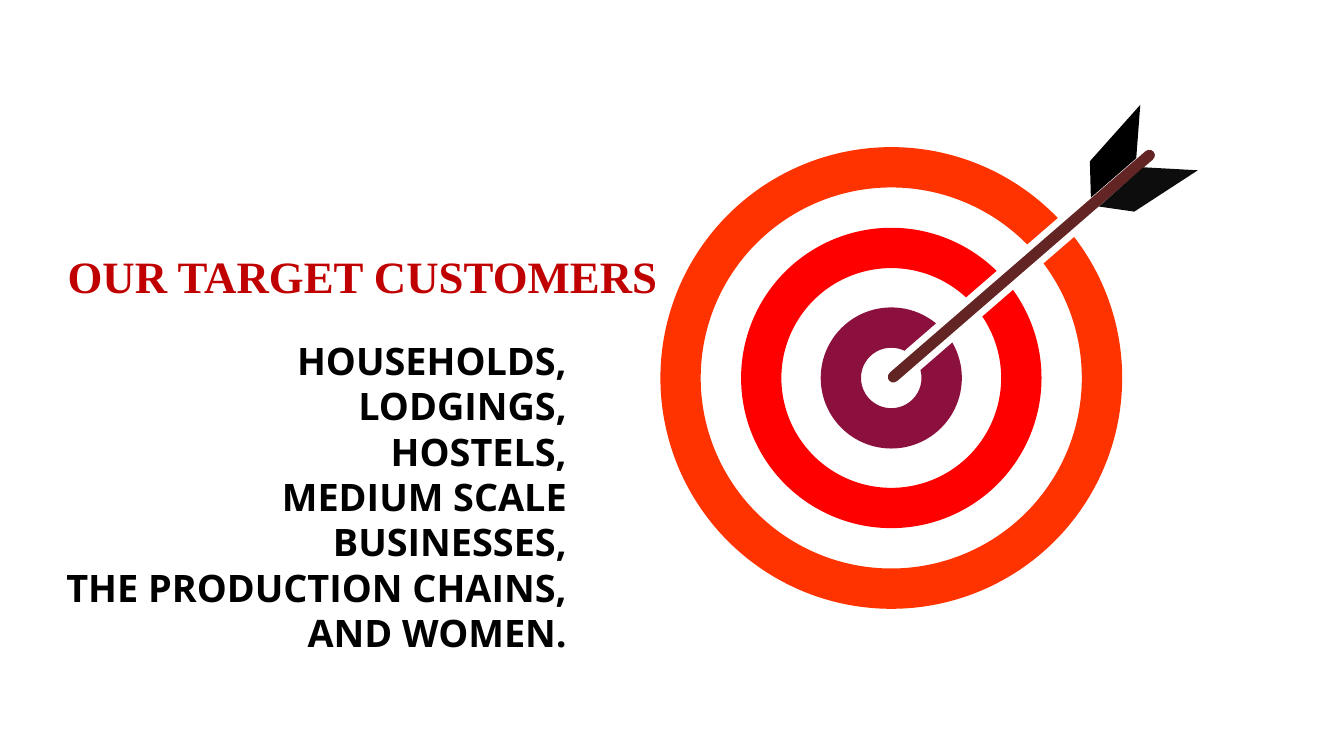
import math

from pptx import Presentation
from pptx.dml.color import RGBColor
from pptx.enum import shapes, text
from pptx.util import Inches, Pt

WHITE = RGBColor(0xFF, 0xFF, 0xFF)
BLACK = RGBColor(0x00, 0x00, 0x00)
CHARCOAL = RGBColor(0x0D, 0x0D, 0x0D)
BROWN = RGBColor(0x63, 0x25, 0x23)
TITLE_RED = RGBColor(0xC0, 0x00, 0x00)

CENTER = (8.84, 3.75)
RING_WIDTH = 0.4
RINGS = [
    (2.29, RGBColor(0xFF, 0x33, 0x00)),
    (1.49, RGBColor(0xFF, 0x00, 0x00)),
    (0.7, RGBColor(0x8C, 0x10, 0x3D)),
]

ARROW_TIP = (8.86, 3.74)
ARROW_END = (11.4, 1.54)
SHAFT_WIDTH = 0.18
VANES = [
    (CHARCOAL, [(10.9, 2.05), (11.25, 2.1), (11.88, 1.69), (11.34, 1.66)]),
    (BLACK, [(10.82, 1.96), (10.81, 1.6), (11.31, 1.04), (11.27, 1.57)]),
]

CUSTOMERS = [
    "HOUSEHOLDS,",
    "LODGINGS,",
    "HOSTELS,",
    "MEDIUM SCALE BUSINESSES,",
    "THE PRODUCTION CHAINS,",
    "AND WOMEN.",
]


def paint(shape, color):
    shape.shadow.inherit = False
    shape.fill.solid()
    shape.fill.fore_color.rgb = color
    shape.line.fill.background()


def set_font(para, name, size, color):
    para.font.name = name
    para.font.size = Pt(size)
    para.font.bold = True
    para.font.color.rgb = color


def place(shape, left, top, width, height):
    shape.left, shape.top = Inches(left), Inches(top)
    shape.width, shape.height = Inches(width), Inches(height)


def add_ring(page, radius, color):
    x, y = CENTER
    ring = page.shapes.add_shape(
        shapes.MSO_SHAPE.DONUT, Inches(x - radius), Inches(y - radius),
        Inches(2 * radius), Inches(2 * radius))
    ring.adjustments[0] = RING_WIDTH / (2 * radius)
    paint(ring, color)


def add_shaft(page):
    """Round-ended bar from tip to end, with a white edge that cuts the rings."""
    (x1, y1), (x2, y2) = ARROW_TIP, ARROW_END
    length = math.dist(ARROW_TIP, ARROW_END) + SHAFT_WIDTH
    shaft = page.shapes.add_shape(
        shapes.MSO_SHAPE.ROUNDED_RECTANGLE,
        Inches((x1 + x2 - length) / 2), Inches((y1 + y2 - SHAFT_WIDTH) / 2),
        Inches(length), Inches(SHAFT_WIDTH))
    shaft.adjustments[0] = 0.5
    shaft.rotation = math.degrees(math.atan2(y2 - y1, x2 - x1))
    paint(shaft, BROWN)
    shaft.line.color.rgb = WHITE
    shaft.line.width = Pt(4.75)


def add_vane(page, color, corners):
    points = [(Inches(x), Inches(y)) for x, y in corners]
    builder = page.shapes.build_freeform(*points[0])
    builder.add_line_segments(points[1:], close=True)
    paint(builder.convert_to_shape(), color)


def add_title(page):
    title = page.shapes.title
    place(title, 0.57, 2.42, 6.33, 0.64)
    frame = title.text_frame
    frame.text = "OUR TARGET CUSTOMERS"
    frame.auto_size = text.MSO_AUTO_SIZE.NONE
    frame.vertical_anchor = text.MSO_ANCHOR.TOP
    para = frame.paragraphs[0]
    para.alignment = text.PP_ALIGN.LEFT
    set_font(para, "Times New Roman", 32, TITLE_RED)


def add_customers(page):
    box = page.shapes.add_textbox(
        Inches(0.49), Inches(3.3), Inches(5.23), Inches(3.25))
    frame = box.text_frame
    frame.word_wrap = True
    frame.text = "\n".join(CUSTOMERS)
    for para in frame.paragraphs:
        para.alignment = text.PP_ALIGN.RIGHT
        para.line_spacing = Pt(32.4)
        set_font(para, "Open Sans", 27, BLACK)


def main():
    deck = Presentation()
    deck.slide_width, deck.slide_height = Inches(13.33), Inches(7.5)
    page = deck.slides.add_slide(deck.slide_layouts.get_by_name("Title Only"))
    for radius, color in RINGS:
        add_ring(page, radius, color)
    add_shaft(page)
    for color, corners in VANES:
        add_vane(page, color, corners)
    add_title(page)
    add_customers(page)
    deck.save("out.pptx")


if __name__ == "__main__":
    main()
